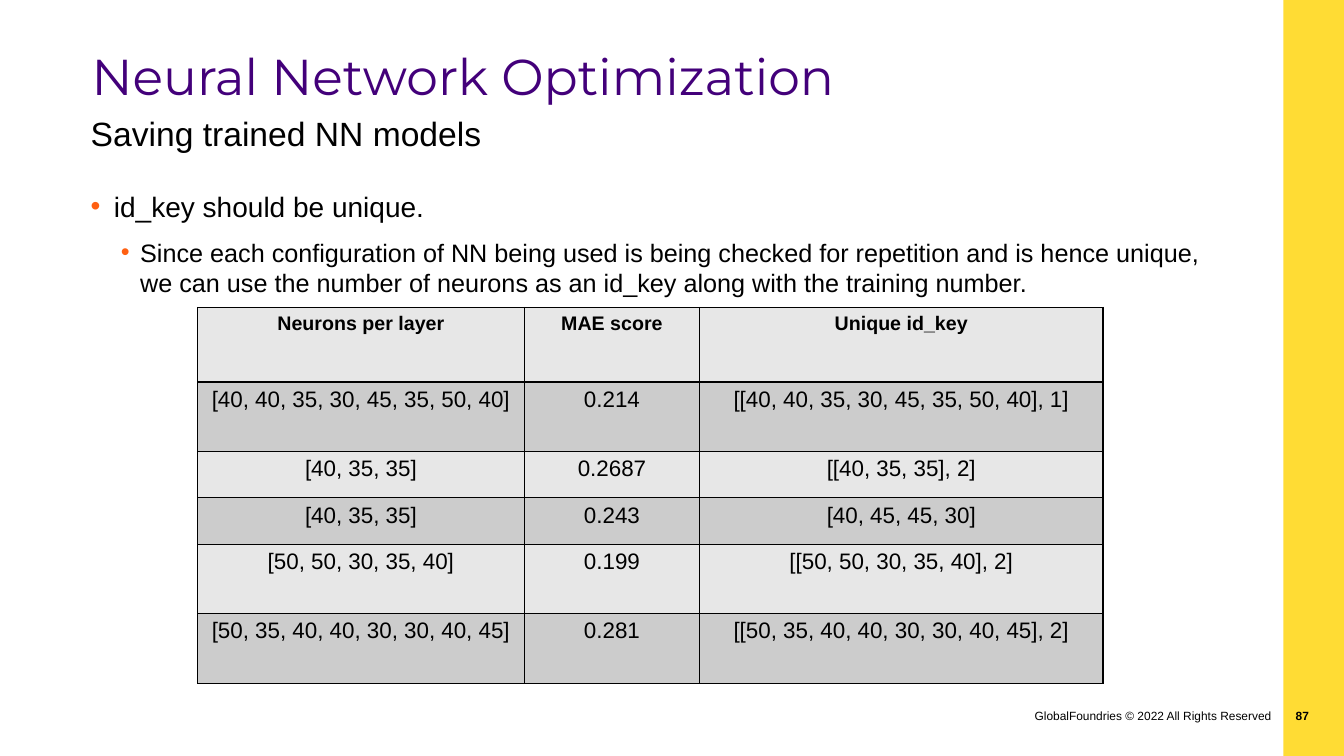
"""Build the slide on saving trained neural network models."""
from dataclasses import dataclass

from lxml.etree import SubElement
from pptx import Presentation
from pptx.dml.color import RGBColor
from pptx.enum.shapes import MSO_SHAPE
from pptx.enum.text import MSO_ANCHOR, MSO_AUTO_SIZE, PP_ALIGN
from pptx.oxml.ns import qn
from pptx.util import Inches, Pt


@dataclass(frozen=True)
class Theme:
    heading_font: str = "Montserrat"
    text_font: str = "Arial"
    purple: str = "43007A"
    black: str = "000000"
    orange: str = "FF6012"
    yellow: str = "FFDC34"
    light_row: str = "E7E7E7"
    dark_row: str = "CCCCCC"
    title_size: float = 36
    subtitle_size: float = 24
    bullet_size: float = 20
    detail_size: float = 18
    cell_size: float = 16
    header_size: float = 14
    footer_size: float = 8.5


@dataclass(frozen=True)
class Area:
    left: float
    top: float
    width: float
    height: float

    def lengths(self) -> tuple:
        return tuple(Inches(n) for n in (self.left, self.top, self.width, self.height))


@dataclass(frozen=True)
class Bullet:
    text: str
    level: int
    size: float
    margin: float
    hanging: float
    before: float


@dataclass(frozen=True)
class Footer:
    text: str
    area: Area
    left_inset: float
    bold: bool


THEME = Theme()
BULLETS = (
    Bullet("id_key should be unique.", 0, THEME.bullet_size, 0.23, 0.23, 0),
    Bullet("Since each configuration of NN being used is being checked for repetition "
           "and is hence unique, we can use the number of neurons as an id_key along "
           "with the training number.", 1, THEME.detail_size, 0.49, 0.19, 10),
)
FOOTERS = (
    Footer("GlobalFoundries © 2022 All Rights Reserved", Area(10.06, 6.98, 2.65, 0.4), 0.1, False),
    Footer("87", Area(12.66, 6.98, 0.42, 0.4), 0, True),
)
COLUMN_WIDTHS = (3.24, 1.74, 4)
ROW_HEIGHTS = (0.74, 0.69, 0.46, 0.46, 0.69, 0.69)
SCORES = (
    ("Neurons per layer", "MAE score", "Unique id_key"),
    ("[40, 40, 35, 30, 45, 35, 50, 40]", "0.214", "[[40, 40, 35, 30, 45, 35, 50, 40], 1]"),
    ("[40, 35, 35]", "0.2687", "[[40, 35, 35], 2]"),
    ("[40, 35, 35]", "0.243", "[40, 45, 45, 30]"),
    ("[50, 50, 30, 35, 40]", "0.199", "[[50, 50, 30, 35, 40], 2]"),
    ("[50, 35, 40, 40, 30, 30, 40, 45]", "0.281", "[[50, 35, 40, 40, 30, 30, 40, 45], 2]"),
)


def add_span(para, text: str, size: float, bold: bool = False,
             font: str = THEME.text_font, colour: str = THEME.black) -> None:
    span = para.add_run()
    span.text = text
    span.font.name = font
    span.font.size = Pt(size)
    span.font.bold = bold
    span.font.color.rgb = RGBColor.from_string(colour)


def place(box, area: Area, anchor: MSO_ANCHOR):
    box.left, box.top, box.width, box.height = area.lengths()
    frame = box.text_frame
    frame.margin_left = frame.margin_right = frame.margin_top = frame.margin_bottom = 0
    frame.word_wrap = True
    frame.auto_size = MSO_AUTO_SIZE.NONE
    frame.vertical_anchor = anchor
    return frame


def set_indent(para, margin: float, hanging: float):
    properties = para._p.get_or_add_pPr()
    properties.set("marL", str(Inches(margin)))
    properties.set("indent", str(-Inches(hanging)))
    return properties


def add_bar(page) -> None:
    bar = page.shapes.add_shape(MSO_SHAPE.RECTANGLE, *Area(12.73, 0, 0.6, 7.5).lengths())
    bar.shadow.inherit = False
    bar.fill.solid()
    bar.fill.fore_color.rgb = RGBColor.from_string(THEME.yellow)
    bar.line.fill.background()


def add_headings(title, subtitle) -> None:
    para = place(title, Area(0.91, 0.44, 11.04, 0.62), MSO_ANCHOR.MIDDLE).paragraphs[0]
    para.alignment = PP_ALIGN.LEFT
    add_span(para, "Neural Network Optimization", THEME.title_size,
             font=THEME.heading_font, colour=THEME.purple)
    para = place(subtitle, Area(0.9, 1.1, 11.04, 0.43), MSO_ANCHOR.MIDDLE).paragraphs[0]
    SubElement(set_indent(para, 0, 0), qn("a:buNone"))
    para.space_before = Pt(0)
    add_span(para, "Saving trained NN models", THEME.subtitle_size)


def add_bullets(body) -> None:
    frame = place(body, Area(0.9, 1.88, 11.04, 4.9), MSO_ANCHOR.TOP)
    for number, bullet in enumerate(BULLETS):
        para = frame.add_paragraph() if number else frame.paragraphs[0]
        para.level = bullet.level
        properties = set_indent(para, bullet.margin, bullet.hanging)
        colour = SubElement(properties, qn("a:buClr"))
        SubElement(colour, qn("a:srgbClr"), val=THEME.orange)
        SubElement(properties, qn("a:buFont"), typeface=THEME.text_font)
        SubElement(properties, qn("a:buChar"), char="•")
        para.space_before = Pt(bullet.before)
        add_span(para, bullet.text, bullet.size)


def add_footer(page, footer: Footer) -> None:
    box = page.shapes.add_textbox(*footer.area.lengths())
    frame = box.text_frame
    frame.word_wrap = True
    frame.margin_left = Inches(footer.left_inset)
    para = frame.paragraphs[0]
    para.alignment = PP_ALIGN.RIGHT
    add_span(para, footer.text, THEME.footer_size, footer.bold)


def add_borders(cell) -> None:
    properties = cell._tc.get_or_add_tcPr()
    for side in ("lnL", "lnR", "lnT", "lnB"):
        line = SubElement(properties, qn(f"a:{side}"), w=str(Pt(1)))
        fill = SubElement(line, qn("a:solidFill"))
        SubElement(fill, qn("a:srgbClr"), val=THEME.black)


def add_scores(page) -> None:
    area = Area(1.96, 3.05, sum(COLUMN_WIDTHS), sum(ROW_HEIGHTS))
    table = page.shapes.add_table(len(SCORES), len(COLUMN_WIDTHS), *area.lengths()).table
    for column, width in zip(table.columns, COLUMN_WIDTHS):
        column.width = Inches(width)
    for number, (row, height, texts) in enumerate(zip(table.rows, ROW_HEIGHTS, SCORES)):
        row.height = Inches(height)
        header = number == 0
        for cell, text in zip(row.cells, texts):
            add_borders(cell)
            cell.fill.solid()
            shade = THEME.dark_row if number % 2 else THEME.light_row
            cell.fill.fore_color.rgb = RGBColor.from_string(shade)
            para = cell.text_frame.paragraphs[0]
            para.alignment = PP_ALIGN.CENTER
            add_span(para, text, THEME.header_size if header else THEME.cell_size, header)


def main() -> None:
    deck = Presentation()
    deck.slide_width, deck.slide_height = Inches(13.33), Inches(7.5)
    page = deck.slides.add_slide(deck.slide_layouts.get_by_name("Two Content"))
    title, subtitle, body = page.placeholders
    add_bar(page)
    add_headings(title, subtitle)
    add_bullets(body)
    for footer in FOOTERS:
        add_footer(page, footer)
    add_scores(page)
    deck.save("out.pptx")


if __name__ == "__main__":
    main()
